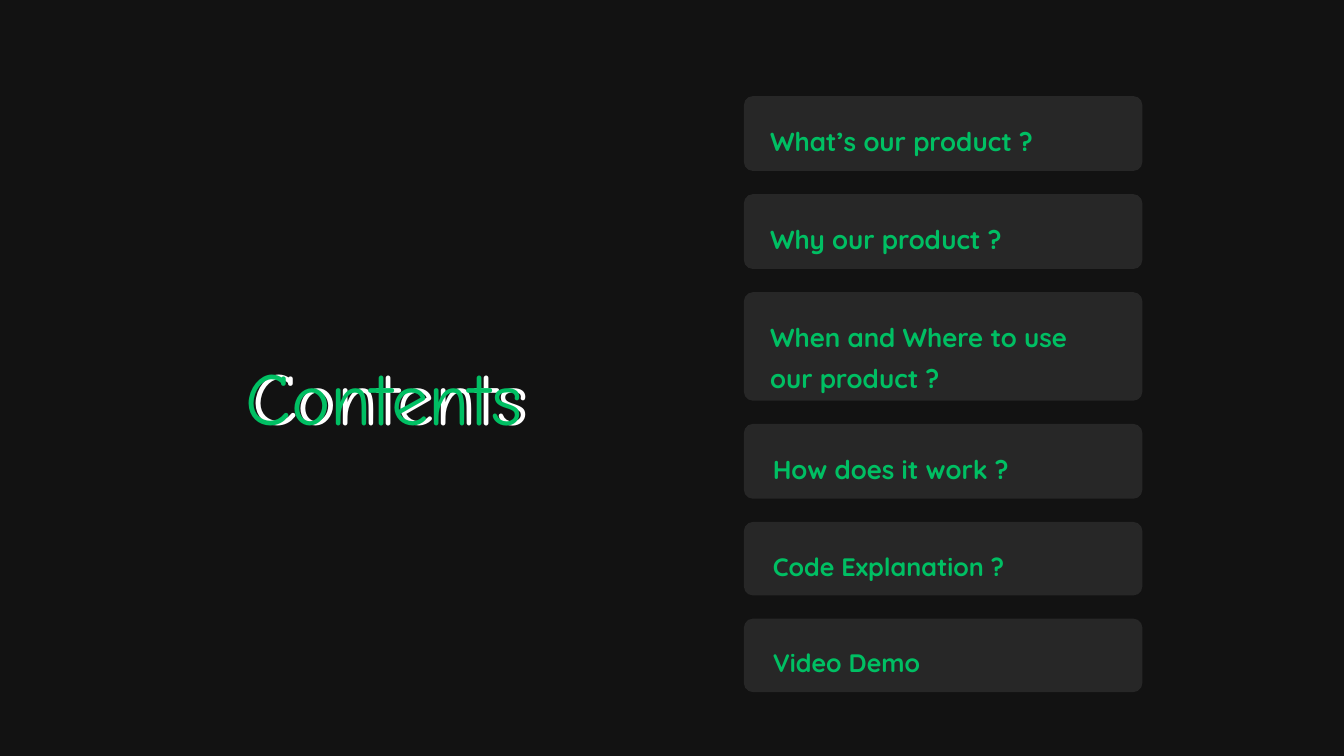
from pptx import Presentation
from pptx.dml.color import RGBColor
from pptx.enum.shapes import MSO_SHAPE
from pptx.enum.text import MSO_ANCHOR, MSO_AUTO_SIZE, PP_ALIGN
from pptx.util import Inches, Pt

ROUNDED = MSO_SHAPE.ROUNDED_RECTANGLE
TOP = MSO_ANCHOR.TOP
LEFT = PP_ALIGN.LEFT
FIT_SHAPE = MSO_AUTO_SIZE.SHAPE_TO_FIT_TEXT

SLIDE_WIDTH = Inches(20)
SLIDE_HEIGHT = Inches(11.25)
BACKGROUND = "121212"
CARD_FILL = "272727"
GREEN = "00BF63"
WHITE = "FFFFFF"

CARD_LEFT = 55.35
CARD_WIDTH = 29.65
CARD_RADIUS = 1.2
FIRST_CARD_TOP = 12.71
CARD_GAP = 3.07
LABEL_WIDTH = 25.3
LABEL_INSET = 2.65

TOPICS = [
    ("What’s our product ?", 9.9, 57.3, 27.9),
    ("Why our product ?", 9.9, 57.3, 27.9),
    ("When and Where to use our product ?", 14.35, 57.3, 27.9),
    ("How does it work ?", 9.9, 57.5, 27.9),
    ("Code Explanation ?", 9.72, 57.5, 27),
    ("Video Demo", 9.72, 57.5, 27),
]


def across(percent):
    return round(SLIDE_WIDTH * percent / 100)


def down(percent):
    return round(SLIDE_HEIGHT * percent / 100)


def paint(fill, color):
    fill.solid()
    fill.fore_color.rgb = RGBColor.from_string(color)


def add_text(shapes, text, left, top, width, height, font, size, color, spacing, bold=False):
    shape = shapes.add_textbox(across(left), down(top), across(width), down(height))
    frame = shape.text_frame
    frame.word_wrap = True
    frame.auto_size = FIT_SHAPE
    frame.vertical_anchor = TOP
    frame.margin_left = frame.margin_right = 0
    frame.margin_top = frame.margin_bottom = 0
    paragraph = frame.paragraphs[0]
    paragraph.alignment = LEFT
    paragraph.line_spacing = spacing
    run = paragraph.add_run()
    run.text = text
    run.font.name = font
    run.font.size = Pt(size)
    run.font.bold = bold
    paint(run.font.fill, color)


def add_card(slide, text, top, height, label_left, size):
    shapes = slide.shapes.add_group_shape().shapes
    card = shapes.add_shape(ROUNDED, across(CARD_LEFT), down(top), across(CARD_WIDTH), down(height))
    card.adjustments[0] = CARD_RADIUS / height
    card.shadow.inherit = False
    card.line.fill.background()
    paint(card.fill, CARD_FILL)
    add_text(shapes, text, label_left, top + LABEL_INSET, LABEL_WIDTH,
             height - 2 * LABEL_INSET, "Quicksand", size, GREEN, 1.3, bold=True)


def add_title(slide, text):
    for left, color in ((18.75, WHITE), (18.25, GREEN)):
        add_text(slide.shapes, text, left, 44.09, 36.55, 11.82, "Comic Neue", 80, color, 1.2)


def main():
    presentation = Presentation()
    presentation.slide_width = SLIDE_WIDTH
    presentation.slide_height = SLIDE_HEIGHT
    slide = presentation.slides.add_slide(presentation.slide_layouts[6])
    paint(slide.background.fill, BACKGROUND)
    add_title(slide, "Contents")
    top = FIRST_CARD_TOP
    for text, height, label_left, size in TOPICS:
        add_card(slide, text, top, height, label_left, size)
        top += height + CARD_GAP
    presentation.save("out.pptx")


if __name__ == "__main__":
    main()
